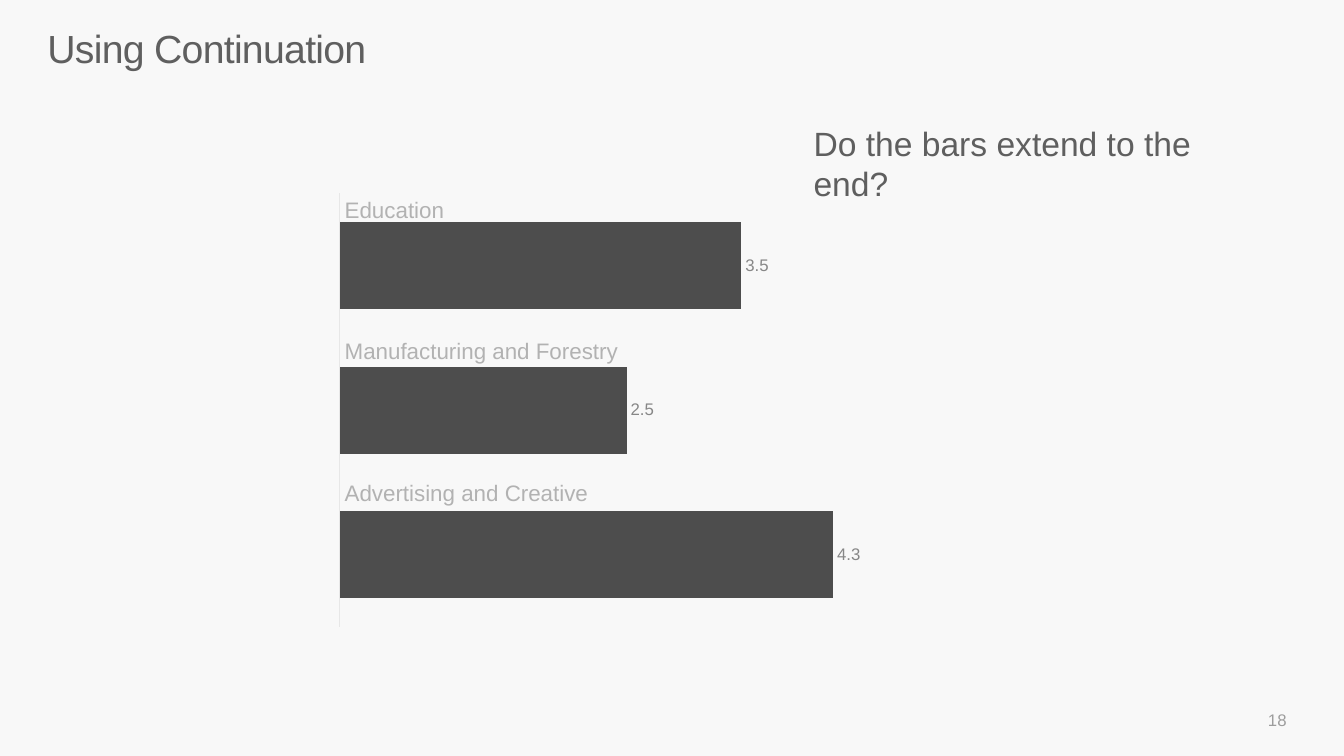
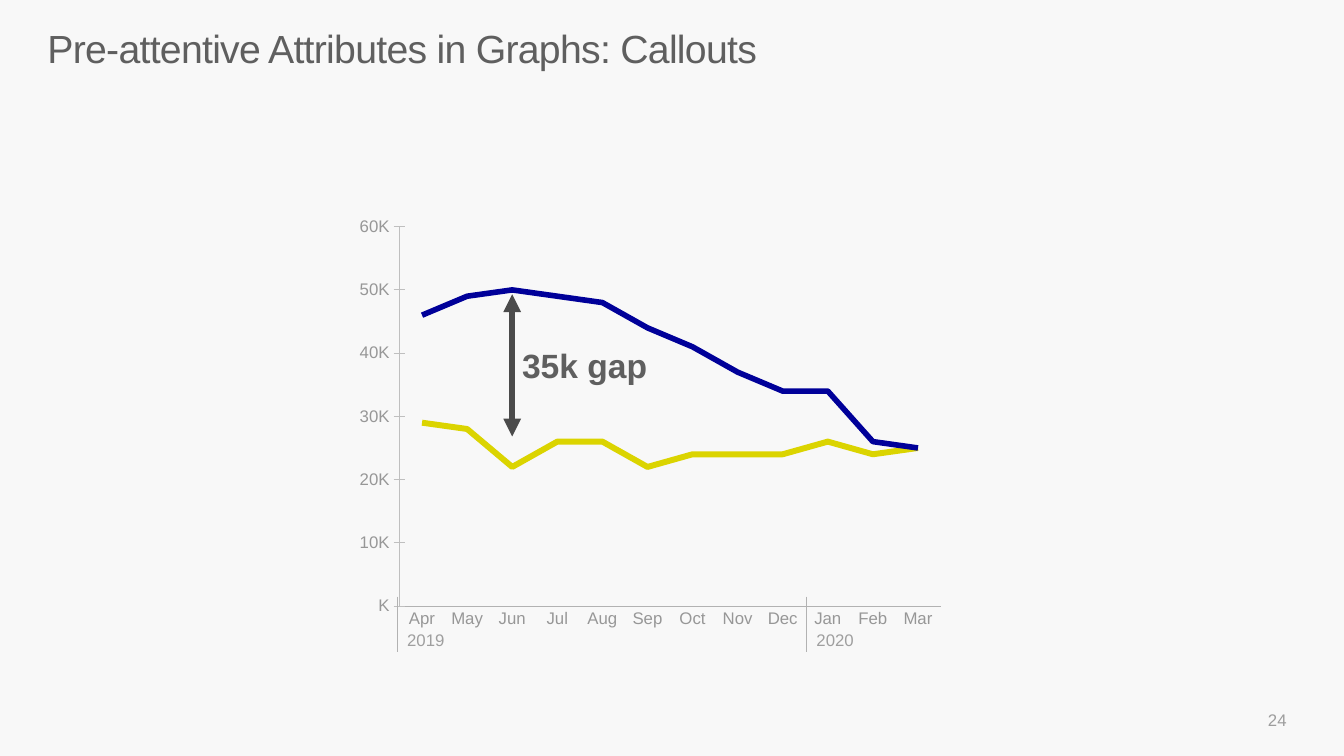
from lxml import etree
from pptx import Presentation
from pptx.chart.data import CategoryChartData
from pptx.dml.color import RGBColor
from pptx.enum import chart as ch, shapes, text
from pptx.oxml import parse_xml
from pptx.oxml.ns import nsdecls, qn
from pptx.util import Inches, Pt

FONT = "Arial"
PAPER = RGBColor(0xF8, 0xF8, 0xF8)
INK = RGBColor(0x5F, 0x5F, 0x5F)
PAGE_GREY = RGBColor(0x9D, 0x9D, 0x9D)
YEAR_GREY = RGBColor(0x9F, 0x9F, 0x9F)
AXIS_TEXT = RGBColor(0x97, 0x97, 0x97)
VALUE_TEXT = RGBColor(0x87, 0x87, 0x87)
SOFT_GREY = RGBColor(0xB2, 0xB2, 0xB2)
BAR_AXIS = RGBColor(0xE7, 0xE7, 0xE7)
VALUE_AXIS = RGBColor(0xBF, 0xBF, 0xBF)
BAR = RGBColor(0x4D, 0x4D, 0x4D)
ARROW = RGBColor(0x4B, 0x4B, 0x4B)
YELLOW = RGBColor(0xDB, 0xD4, 0x00)
NAVY = RGBColor(0x00, 0x00, 0x99)

MONTHS = ["Apr", "May", "Jun", "Jul", "Aug", "Sep",
          "Oct", "Nov", "Dec", "Jan", "Feb", "Mar"]
LOWER = [29000, 28000, 22000, 26000, 26000, 22000,
         24000, 24000, 24000, 26000, 24000, 25000]
UPPER = [46000, 49000, 50000, 49000, 48000, 44000,
         41000, 37000, 34000, 34000, 26000, 25000]


def style_font(font, size, color, bold=False):
    font.name = FONT
    font.size = Pt(size)
    font.bold = bold
    font.color.rgb = color


def add_words(slide, box, words, size, color, bold=False):
    frame = slide.shapes.add_textbox(*map(Inches, box)).text_frame
    frame.word_wrap = True
    frame.text = words
    style_font(frame.paragraphs[0].runs[0].font, size, color, bold)
    return frame


def add_line(slide, x, top, bottom, color, width):
    line = slide.shapes.add_connector(
        shapes.MSO_CONNECTOR.STRAIGHT,
        Inches(x), Inches(top), Inches(x), Inches(bottom))
    line.line.color.rgb = color
    line.line.width = Pt(width)
    etree.SubElement(line._element.spPr, qn("a:effectLst"))
    return line


def new_slide(deck, heading, number):
    slide = deck.slides.add_slide(deck.slide_layouts[6])
    title = add_words(slide, (0.47, 0.31, 12.39, 0.89), heading, 28, INK)
    title.margin_left = title.margin_right = 0
    title.margin_top = title.margin_bottom = 0
    title.paragraphs[0].line_spacing = 0.86
    title.paragraphs[0].runs[0].font._element.set("spc", "-50")
    page = add_words(slide, (9.86, 6.94, 3, 0.4), number, 12, PAGE_GREY)
    page.vertical_anchor = text.MSO_ANCHOR.MIDDLE
    page.paragraphs[0].alignment = text.PP_ALIGN.RIGHT
    return slide


def set_plot_area(chart, x, y, w, h):
    plot_area = chart._chartSpace.chart.plotArea
    for old in plot_area.findall(qn("c:layout")):
        plot_area.remove(old)
    plot_area.insert(0, parse_xml(
        f'<c:layout {nsdecls("c")}><c:manualLayout>'
        '<c:layoutTarget val="inner"/>'
        '<c:xMode val="edge"/><c:yMode val="edge"/>'
        f'<c:x val="{x}"/><c:y val="{y}"/><c:w val="{w}"/><c:h val="{h}"/>'
        '</c:manualLayout></c:layout>'))


def style_axis(axis, color, tick):
    style_font(axis.tick_labels.font, 12, AXIS_TEXT)
    axis.format.line.color.rgb = color
    axis.format.line.width = Pt(0.75)
    axis.major_tick_mark = tick
    axis.minor_tick_mark = ch.XL_TICK_MARK.NONE
    axis.has_major_gridlines = False


def add_chart(slide, kind, box, categories, series, axis_color, top_value, plot_area):
    data = CategoryChartData()
    data.categories = categories
    for i, values in enumerate(series, 1):
        data.add_series(f"Series {i}", values)
    chart = slide.shapes.add_chart(kind, *map(Inches, box), data).chart
    chart.has_legend = chart.has_title = False
    style_font(chart.font, 10, INK)
    style_axis(chart.category_axis, axis_color, ch.XL_TICK_MARK.NONE)
    chart.value_axis.has_major_gridlines = False
    chart.value_axis.minimum_scale = 0
    chart.value_axis.maximum_scale = top_value
    set_plot_area(chart, *plot_area)
    return chart


def sector_bars(slide, left, top):
    chart = add_chart(slide, ch.XL_CHART_TYPE.BAR_CLUSTERED,
                      (left, top, 5.93, 4.48), ["1", "2", "3"],
                      [[4.3, 2.5, 3.5]], BAR_AXIS, 5, (0.02, 0.02, 0.96, 0.96))
    chart.category_axis.tick_label_position = ch.XL_TICK_LABEL_POSITION.NONE
    chart.value_axis.visible = False
    plot = chart.plots[0]
    plot.gap_width = 66
    plot.vary_by_categories = False
    bars = plot.series[0]
    bars.format.fill.solid()
    bars.format.fill.fore_color.rgb = BAR
    labels = bars.data_labels
    labels.show_value = True
    labels.position = ch.XL_LABEL_POSITION.OUTSIDE_END
    style_font(labels.font, 12, VALUE_TEXT)
    sectors = ["Education", "Manufacturing and Forestry", "Advertising and Creative"]
    for i, sector in enumerate(sectors):
        add_words(slide, (left + 0.07, top + 0.07 + 1.4 * i, 3.25, 0.37),
                  sector, 16, SOFT_GREY)


def gap_lines(slide, left, top):
    chart = add_chart(slide, ch.XL_CHART_TYPE.LINE, (left, top, 6.03, 4.23),
                      MONTHS, [LOWER, UPPER], SOFT_GREY, 60000,
                      (0.09, 0.04, 0.89, 0.89))
    values = chart.value_axis
    style_axis(values, VALUE_AXIS, ch.XL_TICK_MARK.CROSS)
    values.major_unit = 10000
    values.tick_labels.number_format = '#,"K"'
    values.tick_labels.number_format_is_linked = False
    plot = chart.plots[0]
    plot.vary_by_categories = False
    for line, color, width in zip(plot.series, (YELLOW, NAVY), (4.25, 4)):
        line.smooth = False
        line.marker.style = ch.XL_MARKER_STYLE.NONE
        line.format.line.color.rgb = color
        line.format.line.width = Pt(width)
    for year, x in (("2019", left + 0.52), ("2020", left + 4.58)):
        add_words(slide, (x, top + 4.12, 0.67, 0.3), year, 12, YEAR_GREY)
        add_line(slide, x, top + 3.84, top + 4.39, SOFT_GREY, 0.75)


def gap_callout(slide, x, top):
    arrow = add_line(slide, x, top, top + 1.41, ARROW, 4.25)
    outline = arrow.line._get_or_add_ln()
    for end in ("a:headEnd", "a:tailEnd"):
        etree.SubElement(outline, qn(end), type="triangle")
    add_words(slide, (x, top + 0.45, 1.6, 0.5), "35k gap", 24, INK, True)


def continuation_slide(deck):
    slide = new_slide(deck, "Using Continuation", "18")
    sector_bars(slide, 3.25, 1.83)
    add_words(slide, (7.97, 1.17, 4.08, 0.91),
              "Do the bars extend to the end?", 24, INK)


def callouts_slide(deck):
    slide = new_slide(deck, "Pre-attentive Attributes in Graphs: Callouts", "24")
    gap_lines(slide, 3.42, 2.08)
    gap_callout(slide, 5.08, 2.92)


def main():
    deck = Presentation()
    deck.slide_width = Inches(13.33)
    deck.slide_height = Inches(7.5)
    backdrop = deck.slide_master.background.fill
    backdrop.solid()
    backdrop.fore_color.rgb = PAPER
    continuation_slide(deck)
    callouts_slide(deck)
    deck.save("out.pptx")


if __name__ == "__main__":
    main()
